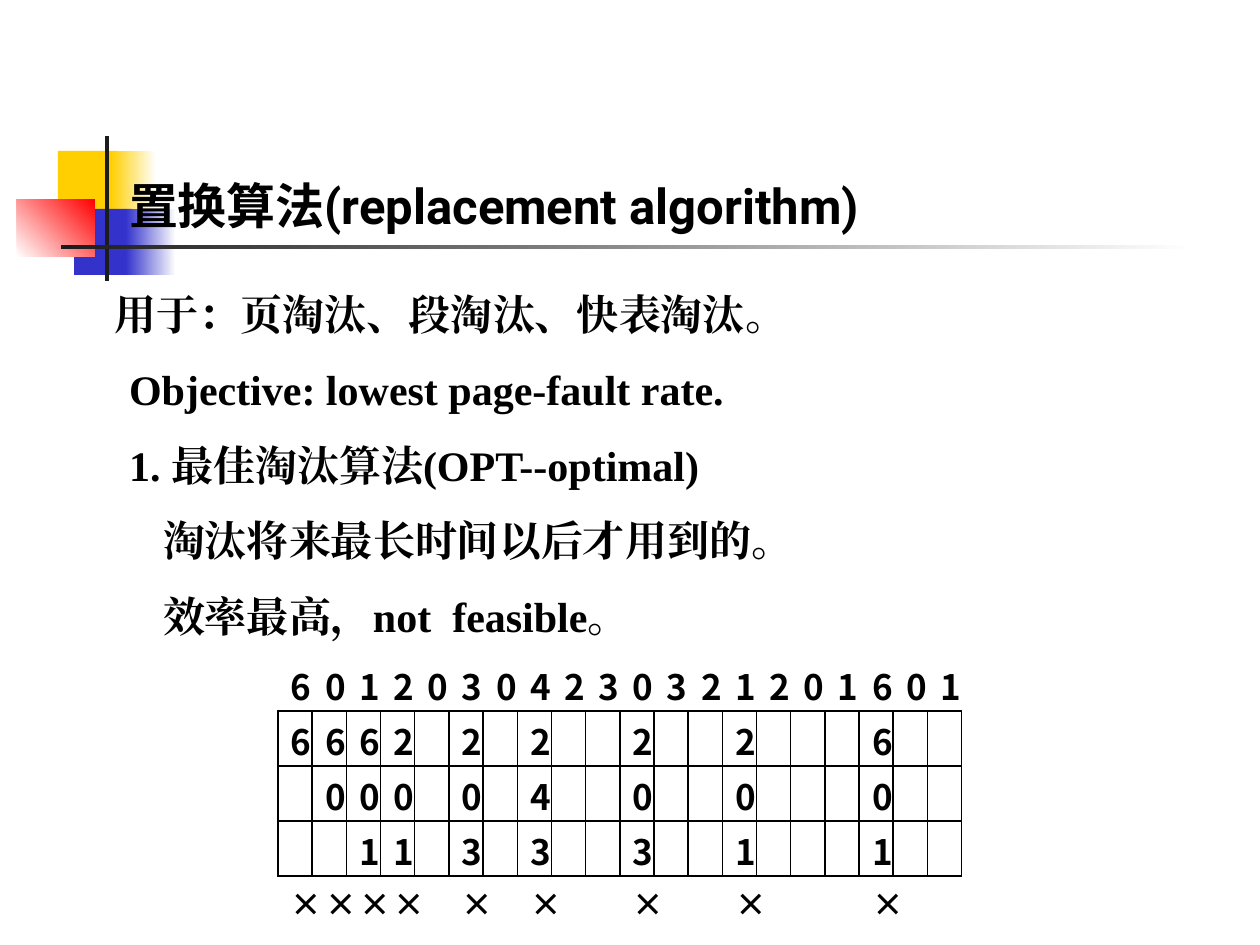
from lxml import etree
from pptx import Presentation
from pptx.dml.color import RGBColor
from pptx.enum.shapes import MSO_SHAPE
from pptx.enum.text import MSO_ANCHOR, MSO_AUTO_SIZE, PP_ALIGN
from pptx.oxml.ns import qn
from pptx.util import Emu, Inches, Pt

RECTANGLE = MSO_SHAPE.RECTANGLE
LEFT = PP_ALIGN.LEFT
TOP, BOTTOM = MSO_ANCHOR.TOP, MSO_ANCHOR.BOTTOM
NO_FIT = MSO_AUTO_SIZE.NONE

BLACK = RGBColor(0x00, 0x00, 0x00)
WHITE = RGBColor(0xFF, 0xFF, 0xFF)
CHARCOAL = RGBColor(0x1C, 0x1C, 0x1C)
YELLOW = RGBColor(0xFF, 0xCF, 0x01)
BLUE = RGBColor(0x33, 0x33, 0xCC)
RED = RGBColor(0xFF, 0x00, 0x00)

SERIF, SANS, CHINESE = "Times New Roman", "Roboto", "Noto Sans CJK SC"

BODY_LINES = [
    (28, "用于：页淘汰、段淘汰、快表淘汰。"),
    (42, "Objective: lowest page-fault rate."),
    (42, "1. 最佳淘汰算法(OPT--optimal)"),
    (76, "淘汰将来最长时间以后才用到的。"),
    (76, "效率最高，not  feasible。"),
]
REFERENCES = "60120304230321201601"
FRAMES = [
    "6662 2 2  2  2   6  ",
    " 000 0 4  0  0   0  ",
    "  11 3 3  3  1   1  ",
]
FAULTS = "×××× × ×  ×  ×   ×  "


def px(length):
    """Turn pixels at 126 to the inch into EMU."""
    return Emu(round(length * 914400 / 126))


def place(shape, box):
    """Move and size a shape to a box of left, top, width, height."""
    shape.left, shape.top, shape.width, shape.height = map(px, box)


def format_paragraph(paragraph, name, size):
    """Set a bold black font for Latin and East Asian text."""
    paragraph.alignment = LEFT
    font = paragraph.font
    font.name, font.size, font.bold = name, Pt(size), True
    font.color.rgb = BLACK
    properties = paragraph._p.get_or_add_pPr().find(qn("a:defRPr"))
    east_asian = etree.Element(qn("a:ea"), typeface=name)
    properties.find(qn("a:latin")).addnext(east_asian)


def add_block(slide, box, start, end=None, angle=0):
    """Add a rectangle with a plain or two-colour gradient fill."""
    shape = slide.shapes.add_shape(RECTANGLE, *map(px, box))
    shape.shadow.inherit = False
    shape.line.fill.background()
    if end is None:
        shape.fill.solid()
        shape.fill.fore_color.rgb = start
        return
    shape.fill.gradient()
    shape.fill.gradient_angle = angle
    for stop, color in zip(shape.fill.gradient_stops, (start, end)):
        stop.color.rgb = color


def add_ornament(slide, left, top):
    """Draw the coloured squares and crossing bars beside the title."""
    blocks = [
        ((41, 15, 60, 65), YELLOW),
        ((94, 15, 45, 65), YELLOW, WHITE),
        ((57, 73, 58, 66), BLUE),
        ((109, 73, 50, 66), BLUE, WHITE),
        ((0, 63, 78, 58), WHITE, RED, 45),
        ((88, 0, 4, 145), CHARCOAL),
        ((44, 109, 1134, 4), CHARCOAL, WHITE),
    ]
    for (x, y, width, height), *colors in blocks:
        add_block(slide, (left + x, top + y, width, height), *colors)


def fill_body(slide, box):
    """Write the indented lines into the body placeholder."""
    body = slide.placeholders[1]
    place(body, box)
    frame = body.text_frame
    frame.auto_size, frame.vertical_anchor = NO_FIT, TOP
    frame.margin_left, frame.margin_top = px(13), px(10)
    frame.text = "\n".join(text for _, text in BODY_LINES)
    for index, paragraph in enumerate(frame.paragraphs):
        properties = paragraph._p.get_or_add_pPr()
        properties.set("marL", str(px(BODY_LINES[index][0])))
        properties.set("indent", "0")
        paragraph.space_before = Pt(14.4 if index else 0)
        etree.SubElement(properties, qn("a:buNone"))
        format_paragraph(paragraph, SERIF, 24)
    slide.shapes._spTree.append(body._element)


def set_borders(cell, sides):
    """Draw black one-point borders on the named sides only."""
    properties = cell._tc.get_or_add_tcPr()
    for index, side in enumerate("LRTB"):
        line = etree.Element(qn(f"a:ln{side}"), w=str(Pt(1)))
        if side in sides:
            fill = etree.SubElement(line, qn("a:solidFill"))
            etree.SubElement(fill, qn("a:srgbClr"), val=str(BLACK))
        else:
            etree.SubElement(line, qn("a:noFill"))
        properties.insert(index, line)


def add_page_table(slide, box):
    """Add the reference string, page frames and fault marks."""
    rows = [REFERENCES, *FRAMES, FAULTS]
    count = len(REFERENCES)
    table = slide.shapes.add_table(len(rows), count, *map(px, box)).table
    table.first_row = table.horz_banding = False
    for column in table.columns:
        column.width = px(box[2] / count)
    borders = ["B"] + ["LRTB"] * len(FRAMES) + ["T"]
    for row_index, (values, sides) in enumerate(zip(rows, borders)):
        last = row_index == len(rows) - 1
        table.rows[row_index].height = px(50 if last else 55)
        for column_index, value in enumerate(values):
            cell = table.cell(row_index, column_index)
            cell.margin_left, cell.margin_top = px(13), px(4)
            cell.margin_right = cell.margin_bottom = 0
            cell.fill.background()
            set_borders(cell, sides)
            cell.text = value.strip()
            format_paragraph(cell.text_frame.paragraphs[0], CHINESE, 18 if last else 20)


def fill_title(slide, box):
    """Write the heading into the title placeholder."""
    title = slide.shapes.title
    place(title, box)
    frame = title.text_frame
    frame.auto_size, frame.vertical_anchor = NO_FIT, BOTTOM
    frame.margin_left = px(24)
    frame.text = "置换算法(replacement algorithm)"
    format_paragraph(frame.paragraphs[0], SANS, 28)
    slide.shapes._spTree.append(title._element)


def main():
    """Build the replacement algorithm slide."""
    presentation = Presentation()
    presentation.slide_width, presentation.slide_height = Inches(10), Inches(7.5)
    slide = presentation.slides.add_slide(presentation.slide_layouts[1])
    add_ornament(slide, 17, 136)
    fill_body(slide, (74, 278, 1134, 667))
    add_page_table(slide, (278, 656, 684, 270))
    fill_title(slide, (105, 83, 1074, 158))
    presentation.save("out.pptx")


if __name__ == "__main__":
    main()
